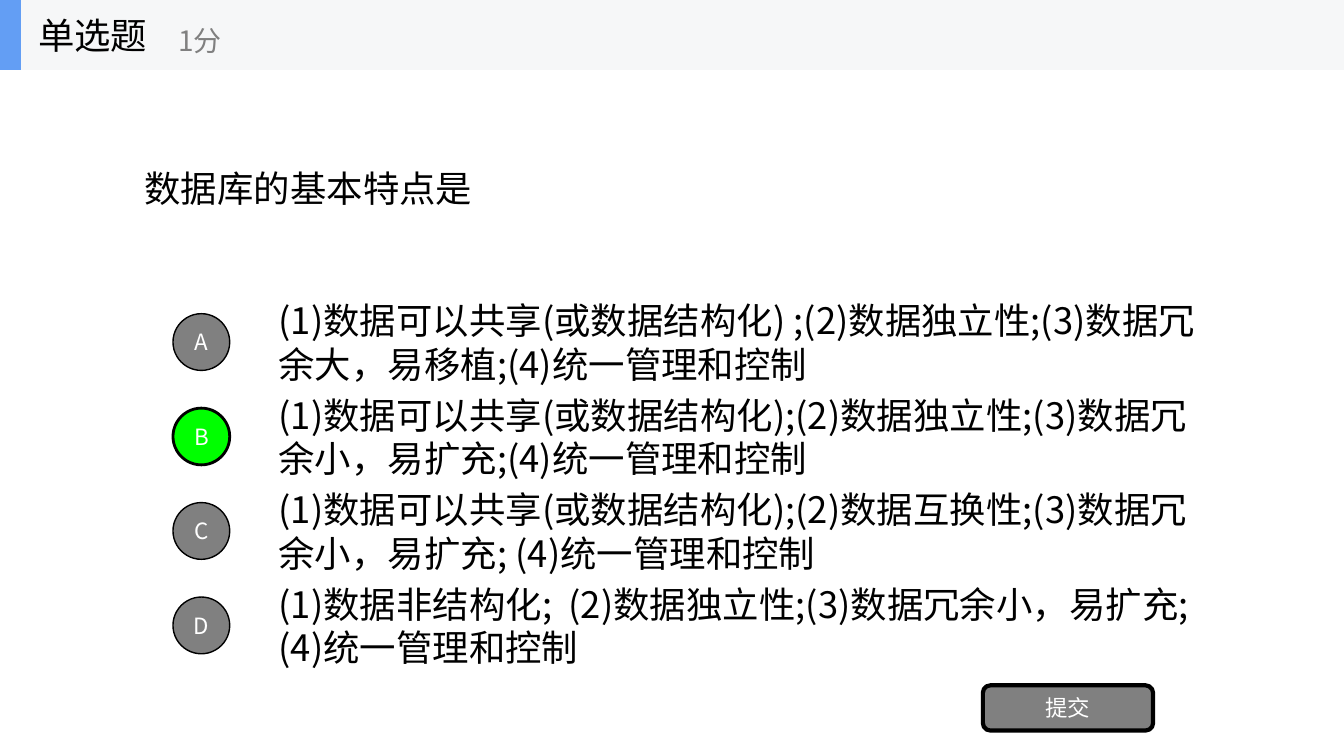
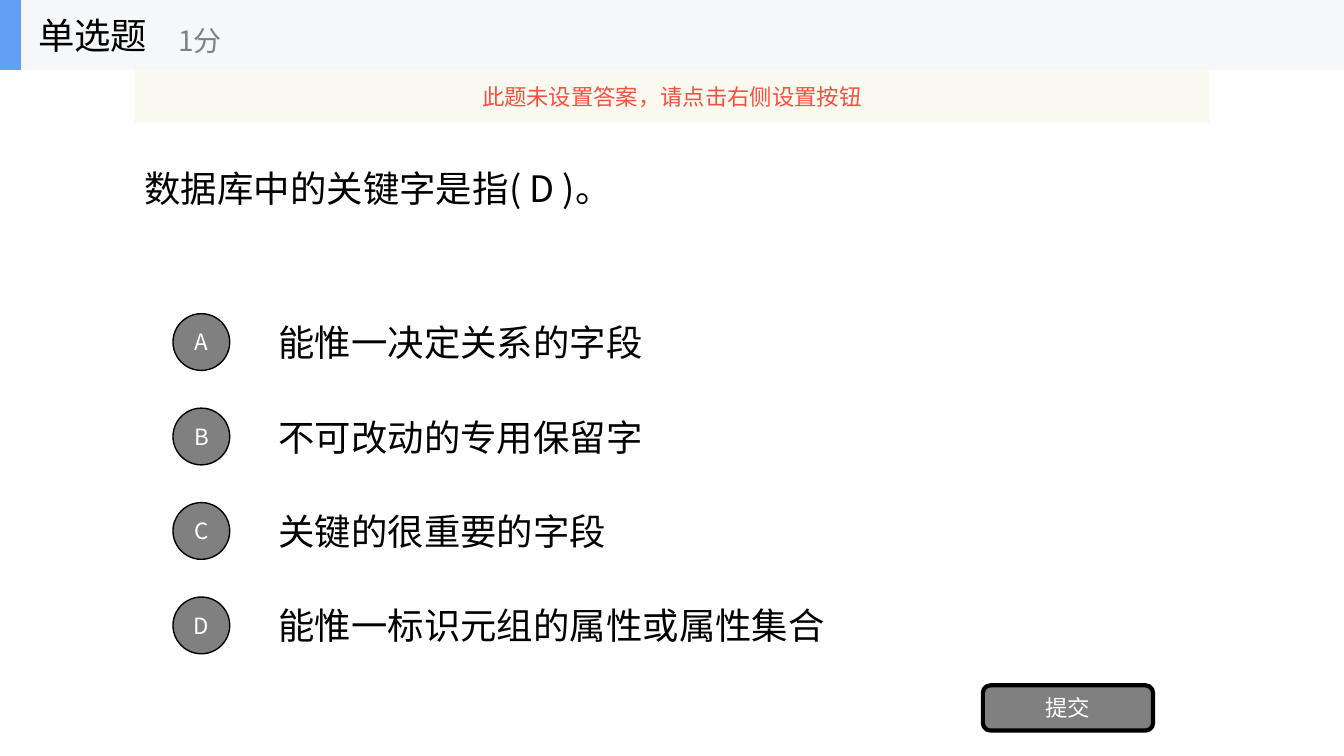
from collections import namedtuple

from lxml.etree import SubElement
from pptx import Presentation
from pptx.dml.color import RGBColor
from pptx.enum.shapes import MSO_SHAPE as Shape
from pptx.enum.text import MSO_ANCHOR as Anchor, MSO_AUTO_SIZE as AutoSize, PP_ALIGN as Align
from pptx.oxml.ns import qn
from pptx.util import Cm, Pt

# Shared style
FONT = "Noto Sans CJK SC"
BLACK = RGBColor(0x00, 0x00, 0x00)
WHITE = RGBColor(0xFF, 0xFF, 0xFF)
GREY = RGBColor(0x80, 0x80, 0x80)
GREEN = RGBColor(0x00, 0xFF, 0x00)
BAND = RGBColor(0xF6, 0xF7, 0xF8)
ACCENT = RGBColor(0x63, 0x9E, 0xF4)
NOTICE_FILL = RGBColor(0xFB, 0xFA, 0xEF)
NOTICE_TEXT = RGBColor(0xF8, 0x4F, 0x41)
LARGE, MEDIUM, SMALL = 26, 20, 16

# Regions of the slide, in centimetres
Box = namedtuple("Box", "left top width height")
SLIDE = Box(0, 0, 33.87, 19.05)
HEADER = Box(0, 0, SLIDE.width, 1.76)
NOTICE = Box(3.39, 1.76, 27.09, 1.35)
QUESTION = Box(3.39, 1.76, 27.09, 5.93)
OPTIONS = Box(4.36, 7.74, 26.12, 8.9)
SUBMIT = Box(24.77, 17.27, 4.29, 1.14)
ROW_PITCH = 2.38
ROW_HEIGHT = 1.76
BADGE_SIZE = 1.43
OPTION_INDENT = 2.41

QUESTIONS = [
    {
        "question": "数据库的基本特点是",
        "options": [
            "(1)数据可以共享(或数据结构化) ;(2)数据独立性;(3)数据冗余大，易移植;(4)统一管理和控制",
            "(1)数据可以共享(或数据结构化);(2)数据独立性;(3)数据冗余小，易扩充;(4)统一管理和控制",
            "(1)数据可以共享(或数据结构化);(2)数据互换性;(3)数据冗余小，易扩充; (4)统一管理和控制",
            "(1)数据非结构化;  (2)数据独立性;(3)数据冗余小，易扩充;(4)统一管理和控制",
        ],
        "answer": "B",
    },
    {
        "question": "数据库中的关键字是指( D )。",
        "options": [
            "能惟一决定关系的字段",
            "不可改动的专用保留字",
            "关键的很重要的字段",
            "能惟一标识元组的属性或属性集合",
        ],
        "notice": "此题未设置答案，请点击右侧设置按钮",
    },
]


def lengths(box):
    return [Cm(value) for value in box]


def write(shape, text, size, color, align=Align.LEFT):
    """Fill a shape with one vertically centred paragraph."""
    frame = shape.text_frame
    frame.word_wrap = True
    frame.auto_size = AutoSize.NONE
    frame.vertical_anchor = Anchor.MIDDLE
    para = frame.paragraphs[0]
    para.alignment = align
    span = para.add_run()
    span.text = text
    span.font.size = Pt(size)
    span.font.color.rgb = color
    span.font.name = FONT
    # East Asian glyphs take their own typeface
    SubElement(span.font._element, qn("a:ea"), typeface=FONT)


def add_label(page, box, text, size, color):
    write(page.shapes.add_textbox(*lengths(box)), text, size, color)


def add_block(page, kind, box, fill, line_width=0):
    block = page.shapes.add_shape(kind, *lengths(box))
    block.shadow.inherit = False
    block.fill.solid()
    block.fill.fore_color.rgb = fill
    if line_width:
        block.line.color.rgb = BLACK
        block.line.width = Pt(line_width)
    else:
        block.line.fill.background()
    return block


def add_header(page, box):
    """Band with accent bar, question type and score."""
    add_block(page, Shape.RECTANGLE, box, BAND)
    add_block(page, Shape.RECTANGLE, box._replace(width=0.53), ACCENT)
    add_label(page, Box(box.left + 0.71, box.top, 5.28, box.height), "单选题", LARGE, BLACK)
    add_label(page, Box(box.left + 4.24, box.top + 0.31, 6.35, 1.42), "1分", MEDIUM, GREY)


def add_question(page, box, text):
    title = page.shapes.title
    title.left, title.top, title.width, title.height = lengths(box)
    write(title, text, LARGE, BLACK)


def add_options(page, box, options, answer):
    """Rows of lettered badge and text; the right answer is green."""
    for row, (letter, text) in enumerate(zip("ABCD", options)):
        top = box.top + row * ROW_PITCH
        label = Box(box.left + OPTION_INDENT, top, box.width - OPTION_INDENT, ROW_HEIGHT)
        add_label(page, label, text, LARGE, BLACK)
        circle = Box(box.left, top + (ROW_HEIGHT - BADGE_SIZE) / 2, BADGE_SIZE, BADGE_SIZE)
        fill, line_width = (GREEN, 2) if letter == answer else (GREY, 1)
        badge = add_block(page, Shape.OVAL, circle, fill, line_width)
        write(badge, letter, SMALL, WHITE, Align.CENTER)


def add_submit(page, box):
    button = add_block(page, Shape.ROUNDED_RECTANGLE, box, GREY, 3)
    write(button, "提交", SMALL, WHITE, Align.CENTER)


def add_notice(page, box, text):
    """Slightly transparent warning strip below the header."""
    strip = add_block(page, Shape.RECTANGLE, box, NOTICE_FILL)
    color = strip.fill._xPr.find(qn("a:solidFill")).find(qn("a:srgbClr"))
    SubElement(color, qn("a:alpha"), val="90000")
    write(strip, text, SMALL, NOTICE_TEXT, Align.CENTER)


def add_question_slide(deck, question, options, answer=None, notice=None):
    title_only = deck.slide_layouts[5]
    page = deck.slides.add_slide(title_only)
    add_question(page, QUESTION, question)
    add_options(page, OPTIONS, options, answer)
    add_submit(page, SUBMIT)
    add_header(page, HEADER)
    if notice:
        add_notice(page, NOTICE, notice)


def main():
    deck = Presentation()
    deck.slide_width, deck.slide_height = Cm(SLIDE.width), Cm(SLIDE.height)
    for content in QUESTIONS:
        add_question_slide(deck, **content)
    deck.save("out.pptx")


if __name__ == "__main__":
    main()
